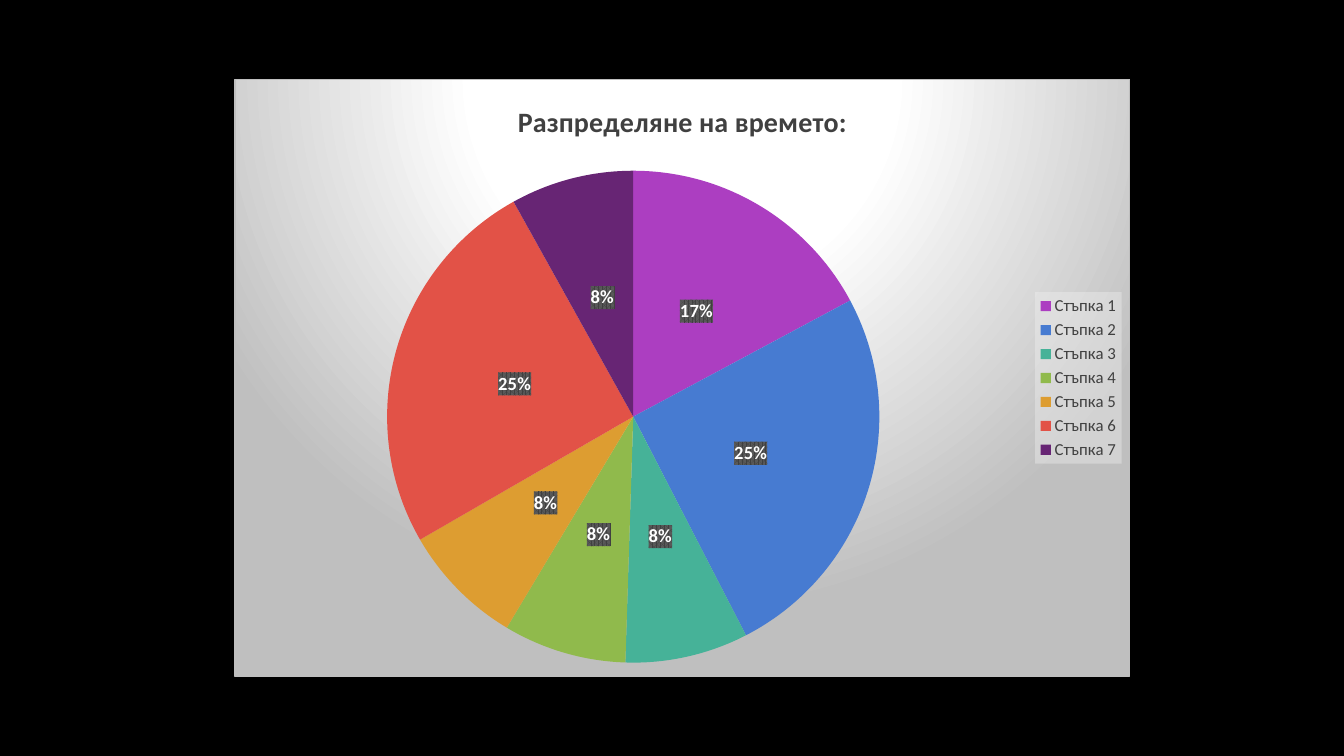
"""Builds a black slide with a pie chart of how time is shared among seven steps."""
from lxml import etree
from pptx import Presentation, util as u
from pptx.chart import data as cd
from pptx.dml import color as dc
from pptx.enum import chart as ec
from pptx.oxml import ns

HEX = {"back": "000000", "white": "FFFFFF", "ink": "404040", "edge": "BFBFBF",
       "stripe": "595959", "pale": "F2F2F2"}
STEPS = [(17, "AC3EC1"), (25, "477BD1"), (8, "46B298"), (8, "90BA4C"),
         (8, "DD9D31"), (25, "E25247"), (8, "672574")]


def rgb(code):
    """Return a colour object for a hex string."""
    return dc.RGBColor.from_string(code)


def style(item, **values):
    """Set each given attribute on the item."""
    for key, value in values.items():
        setattr(item, key, value)


def type_on(font, size, ink, bold=False):
    """Format a font."""
    style(font, name="Calibri", size=u.Pt(size), bold=bold)
    font.color.rgb = rgb(HEX[ink])


def node(body):
    """Parse a chart fragment with the usual prefixes."""
    tag = body[1:body.index(">")]
    return etree.fromstring(body.replace(f"<{tag}>", f"<{tag} {ns.nsdecls('c', 'a')}>", 1))


def solid(name, inner=""):
    """Return a colour element."""
    return f'<a:srgbClr val="{HEX[name]}">{inner}</a:srgbClr>'


def frame():
    """Return the fill and border of the chart area."""
    stops = "".join(f'<a:gs pos="{pos}000">{solid(name)}</a:gs>'
                    for pos, name in ((0, "white"), (39, "white"), (100, "edge")))
    return node(f'<c:spPr><a:gradFill><a:gsLst>{stops}</a:gsLst><a:path path="circle">'
                '<a:fillToRect l="50000" t="-80000" r="50000" b="180000"/></a:path>'
                f'</a:gradFill><a:ln w="9525"><a:solidFill>{solid("edge")}'
                '</a:solidFill></a:ln></c:spPr>')


def place(plot, x, y, w, h):
    """Fix the inner plot area as shares of the chart."""
    for old in plot.findall(ns.qn("c:layout")):
        plot.remove(old)
    spots = "".join(f'<c:{key} val="{val}"/>' for key, val in
                    dict(xMode="edge", yMode="edge", x=x, y=y, w=w, h=h).items())
    plot.insert(0, node('<c:layout><c:manualLayout><c:layoutTarget val="inner"/>'
                        f'{spots}</c:manualLayout></c:layout>'))


def pie(slide, box):
    """Draw the pie chart in the box."""
    data = cd.CategoryChartData()
    data.categories = [f"Стъпка {num}" for num in range(1, len(STEPS) + 1)]
    data.add_series("Series 1", [share for share, _ in STEPS])
    chart = slide.shapes.add_chart(ec.XL_CHART_TYPE.PIE, *map(u.Pt, box), data).chart
    type_on(chart.font, 10, "white")
    style(chart, has_title=True, has_legend=True)

    title = chart.chart_title.text_frame
    title.text = "Разпределяне на времето:"
    type_on(title.paragraphs[0].runs[0].font, 20, "ink", True)
    chart.chart_title.include_in_layout = False

    style(chart.legend, position=ec.XL_LEGEND_POSITION.RIGHT, include_in_layout=False)
    type_on(chart.legend.font, 12, "ink")

    plot = chart.plots[0]
    plot.vary_by_categories = True
    for num, (_, code) in enumerate(STEPS):
        part = plot.series[0].points[num].format
        part.fill.solid()
        part.fill.fore_color.rgb = rgb(code)
        part.line.fill.background()

    tags = plot.series[0].data_labels
    type_on(tags.font, 13.3, "white", True)
    style(tags, show_percentage=True, show_value=False, number_format="0%",
          number_format_is_linked=False, position=ec.XL_LABEL_POSITION.CENTER)

    root = chart.element
    root.find(ns.qn("c:chart")).addnext(frame())
    fills = {
        "c:legend": f'<a:solidFill>{solid("pale", "<a:alpha val=%s/>" % chr(34).join(["", "39000", ""]))}</a:solidFill>',
        "c:dLbls": f'<a:pattFill prst="pct75"><a:fgClr>{solid("ink")}</a:fgClr>'
                   f'<a:bgClr>{solid("stripe")}</a:bgClr></a:pattFill>'}
    for tag, fill in fills.items():
        for words in root.xpath(f".//{tag}/c:txPr"):
            words.addprevious(node(f"<c:spPr>{fill}</c:spPr>"))
    place(root.xpath(".//c:plotArea")[0], 0.17, 0.15, 0.55, 0.83)


def main():
    """Build and save the slide."""
    deck = Presentation()
    style(deck, slide_width=u.Pt(960), slide_height=u.Pt(540))
    slide = deck.slides.add_slide(deck.slide_layouts[6])
    back = slide.background.fill
    back.solid()
    back.fore_color.rgb = rgb(HEX["back"])
    pie(slide, (167.5, 56.5, 640, 427))
    deck.save("out.pptx")


main()
